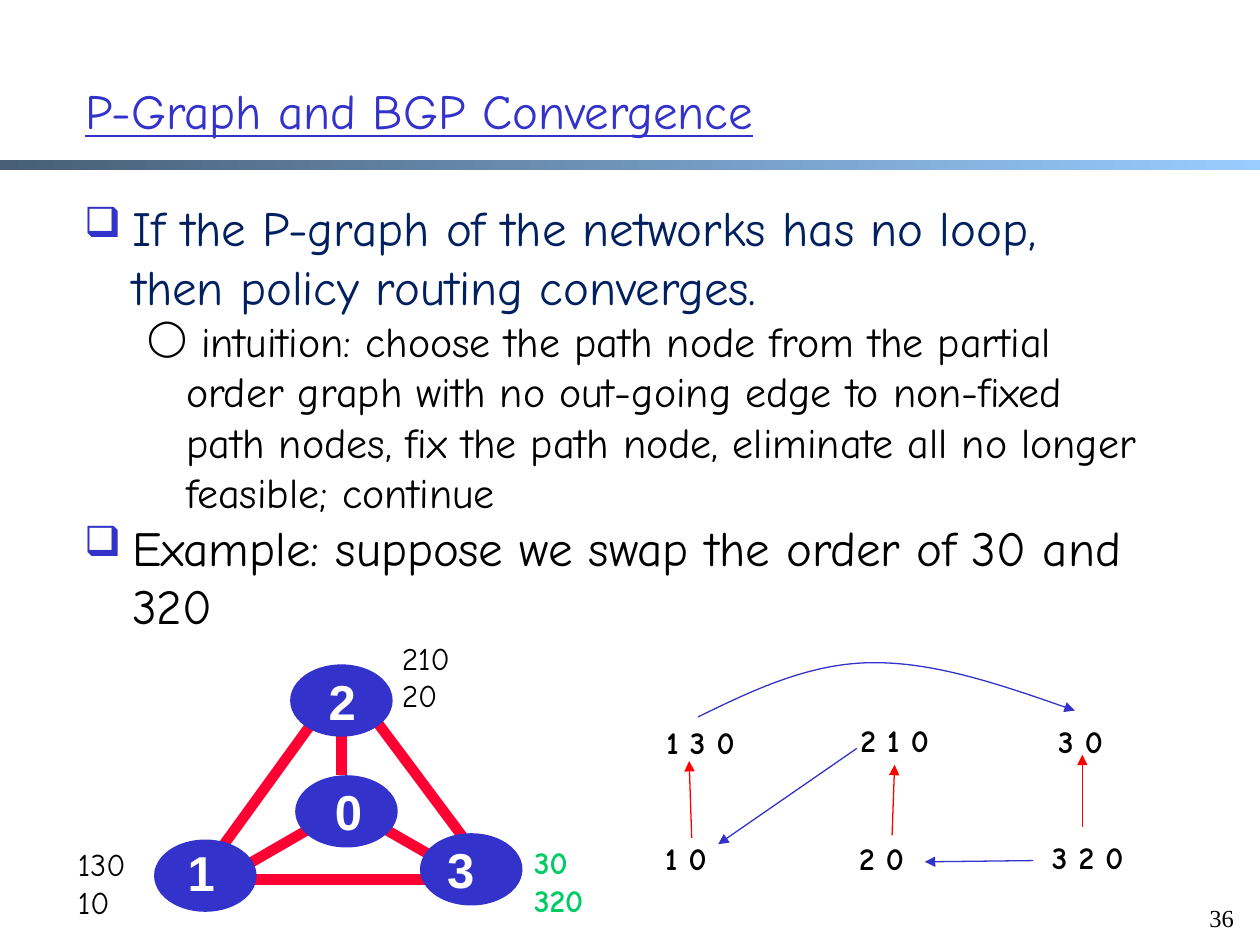
import pptx
import pptx.util
import pptx.dml.color
import pptx.enum.dml
import pptx.enum.shapes
import pptx.enum.text
import pptx.oxml
import pptx.oxml.ns

COLS, ROWS = 100, 75
BLUE, RED, NAVY, GREEN = "3333CC", "FF0033", "002060", "00CC66"
FONT = "Comic Neue"
prs = pptx.Presentation()
prs.slide_width, prs.slide_height = pptx.util.Inches(10), pptx.util.Inches(7.5)
CELL_W, CELL_H = prs.slide_width / COLS, prs.slide_height / ROWS
qn = pptx.oxml.ns.qn


def color(value):
    return pptx.dml.color.RGBColor.from_string(value)


def place(box, x, y):
    """Slide position of grid column x and row y counted from the box corner."""
    return round((box[0] + x) * CELL_W), round((box[1] + y) * CELL_H)


def add_xml(parent, tag, **attrs):
    el = pptx.oxml.parse_xml(f"<a:{tag} {pptx.oxml.ns.nsdecls('a')}/>")
    for key, value in attrs.items():
        el.set(key, str(value))
    parent.append(el)
    return el


def add_bullet(p, char, margin, indent, bullet_color=None):
    ppr = p._p.get_or_add_pPr()
    ppr.set("marL", str(pptx.util.Inches(margin)))
    ppr.set("indent", str(pptx.util.Inches(indent)))
    if bullet_color:
        add_xml(add_xml(ppr, "buClr"), "srgbClr", val=bullet_color)
    add_xml(ppr, "buSzPct", val=85000)
    add_xml(ppr, "buChar", char=char)


def format_run(r, size=18, font=FONT, fill="000000", bold=False, underline=False):
    r.font.size, r.font.name = pptx.util.Pt(size), font
    r.font.bold, r.font.underline = bold, underline
    r.font.color.rgb = color(fill)


def add_text(s, box, x, y, w, h, text, wrap=True, anchor="TOP", align="LEFT", **fmt):
    sp = s.shapes.add_textbox(*place(box, x, y), *place((0, 0), w, h))
    tf = sp.text_frame
    tf.word_wrap = wrap
    tf.vertical_anchor = pptx.enum.text.MSO_ANCHOR[anchor]
    for i, line in enumerate(text.split("\n")):
        p = tf.paragraphs[0] if i == 0 else tf.add_paragraph()
        p.alignment = pptx.enum.text.PP_ALIGN[align]
        r = p.add_run()
        r.text = line
        format_run(r, **fmt)
    return sp


def style_line(sp, fill, width, arrow=False):
    sp.line.color.rgb, sp.line.width = color(fill), pptx.util.Pt(width)
    if arrow:
        add_xml(sp.line._get_or_add_ln(), "tailEnd", type="triangle")


def add_line(s, box, start, end, fill, width, arrow=False):
    line = s.shapes.add_connector(pptx.enum.shapes.MSO_CONNECTOR.STRAIGHT,
                                  *place(box, *start), *place(box, *end))
    style_line(line, fill, width, arrow)
    add_xml(line._element.spPr, "effectLst")


def add_curve(s, box, points, fill, width):
    """Bezier arrow: a start point, then two controls and an end per segment."""
    builder = s.shapes.build_freeform(*place(box, *points[0]))
    builder.add_line_segments([place(box, *pt) for pt in points[1:]], close=False)
    sp = builder.convert_to_shape()
    sp.shadow.inherit = False
    sp.fill.background()
    style_line(sp, fill, width, arrow=True)
    path = sp._element.find(".//" + qn("a:path"))
    steps = path.findall(qn("a:lnTo"))
    for i in range(0, len(steps), 3):
        bezier = add_xml(path, "cubicBezTo")
        for step in steps[i:i + 3]:
            bezier.append(step[0])
            path.remove(step)


def header(s, box):
    add_text(s, box, 5.8, 2.5, 87.8, 12.5, "P-Graph and BGP Convergence",
             anchor="MIDDLE", size=28, fill=BLUE, underline=True)
    # Gradient rule under the title
    bar = s.shapes.add_shape(pptx.enum.shapes.MSO_SHAPE.RECTANGLE,
                             *place(box, 0, 12.7), *place((0, 0), box[2], 0.8))
    bar.shadow.inherit = False
    bar.line.fill.background()
    bar.fill.gradient()
    bar.fill.gradient_angle = 0
    for stop, fill in zip(bar.fill.gradient_stops, ("475E76", "99CCFF")):
        stop.color.rgb = color(fill)


def body(s, box):
    items = [
        (0, NAVY, "If the P-graph of the networks has no loop, then policy routing converges."),
        (1, "000000", " intuition: choose the path node from the partial order graph with no "
         "out-going edge to non-fixed path nodes, fix the path node, eliminate all no longer "
         "feasible; continue"),
        (0, "000000", "Example: suppose we swap the order of 30 and 320"),
    ]
    levels = [(28, ("❑", 0.38, -0.38, BLUE)), (24, ("◯", 0.81, -0.31))]
    sp = s.shapes.add_textbox(*place(box, 0, 0), *place((0, 0), *box[2:]))
    tf = sp.text_frame
    tf.word_wrap = True
    for i, (level, fill, text) in enumerate(items):
        p = tf.paragraphs[0] if i == 0 else tf.add_paragraph()
        size, bullet = levels[level]
        p.level = level
        add_bullet(p, *bullet)
        r = p.add_run()
        r.text = text
        format_run(r, size=size, fill=fill)


def path_graph(s, box):
    # Paths: preferred route above, alternative below
    labels = [("1 3 0", 0.1, 4.4), ("2 1 0", 15.5, 4.2), ("3 0", 31.2, 4.3),
              ("1 0", 0, 13.6), ("2 0", 15.4, 13.6), ("3 2 0", 30.7, 13.5)]
    for text, x, y in labels:
        add_text(s, box, x, y, 12, 4, text, bold=True)
    # Dependencies in blue, preferences in red
    arrows = [(BLUE, (16.2, 6.9), (5.2, 14.5)), (BLUE, (30.2, 15.8), (21.6, 15.9)),
              ("FF0000", (3.1, 14), (2.9, 7.9)), ("FF0000", (19, 13.8), (19.2, 8.2)),
              ("FF0000", (34.1, 13.1), (34.1, 7.4))]
    for fill, start, end in arrows:
        add_line(s, box, start, end, fill, 0.75, arrow=True)
    add_curve(s, box, [(3.6, 4.4), (7.9, 2.3), (12.3, 0.2), (17.2, 0.1),
                       (22.2, 0), (27.8, 1.9), (33.5, 3.9)], BLUE, 0.75)


def network(s, box):
    # Links between routers
    links = [((32.8, 19), (22.5, 5.2)), ((20.2, 5.2), (9.4, 20.1)),
             ((21.1, 3.6), (21.1, 11.3)), ((20.6, 14.4), (13.5, 18.5)),
             ((29.6, 18.5), (24.2, 15.4)), ((33.7, 19.6), (9.4, 19.6))]
    for start, end in links:
        add_line(s, box, start, end, RED, 6)
    # Routers: corner of the ellipse and of its number
    nodes = [("2", (17.1, 2.6), (19.1, 2.6)), ("0", (17.5, 11.4), (19.6, 11.3)),
             ("3", (27.4, 16), (28.5, 15.9)), ("1", (6.3, 16.5), (7.9, 16.2))]
    for text, corner, number in nodes:
        node = s.shapes.add_shape(pptx.enum.shapes.MSO_SHAPE.OVAL,
                                  *place(box, *corner), *place((0, 0), 8, 5.6))
        node.shadow.inherit = False
        node.fill.solid()
        node.fill.fore_color.rgb = color(BLUE)
        style_line(node, BLUE, 1)
        add_text(s, box, *number, 4.2, 5.7, text, wrap=False,
                 size=28, font="Arial", fill="FFFFFF", bold=True)
    # Route preferences beside each router
    add_text(s, box, 35.4, 16.2, 6.6, 7, "30\n320", wrap=False, fill=GREEN, bold=True)
    add_text(s, box, 24.9, 0, 6.2, 7, "210\n20", wrap=False)
    add_text(s, box, -0.8, 16.4, 6.2, 7, "130\n10", wrap=False)


def main():
    s = prs.slides.add_slide(prs.slide_layouts[6])
    header(s, (0, 0, COLS, 15))
    body(s, (5.7, 15.2, 86.1, 53.1))
    path_graph(s, (51.8, 52.5, 43.2, 17.6))
    network(s, (6, 50.2, 42, 23.4))
    add_text(s, (0, 0), 95, 71.2, 5, 5, "36", size=14, font="Times New Roman")
    prs.save("out.pptx")


if __name__ == "__main__":
    main()
